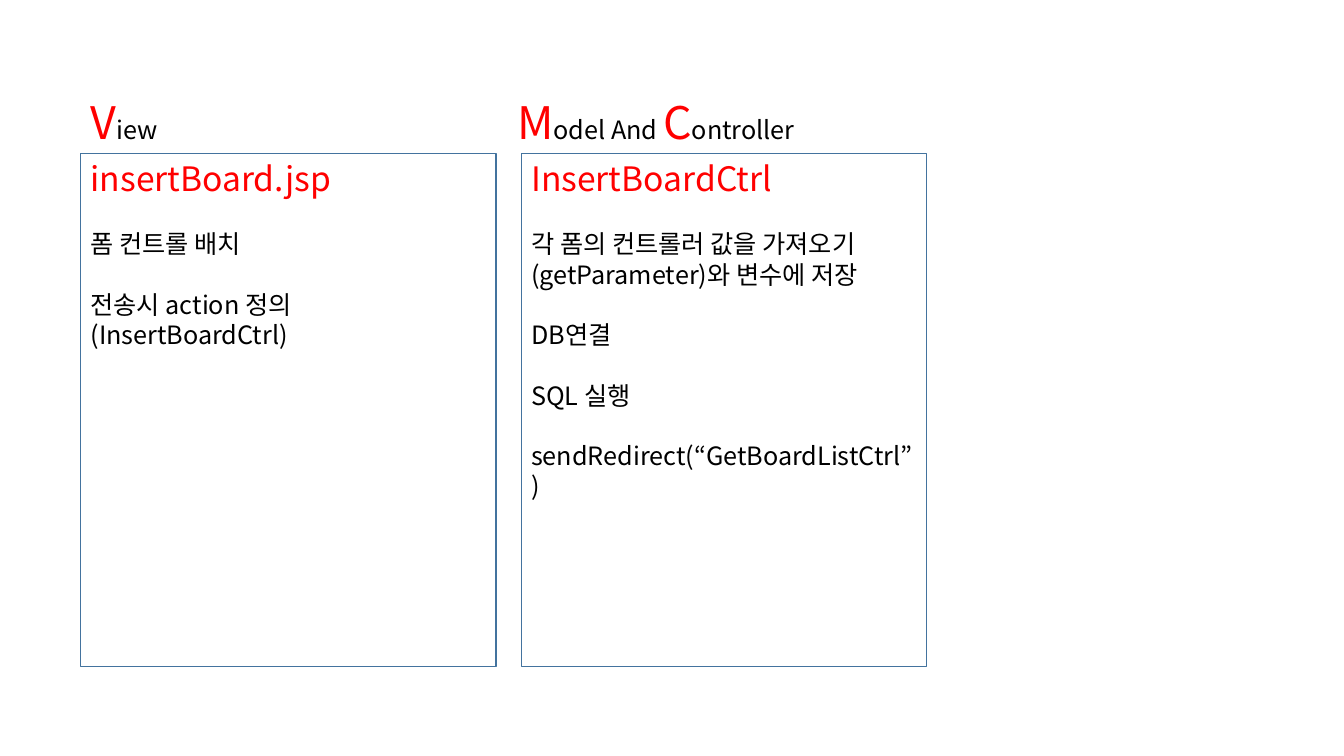
from pptx import Presentation
from pptx.enum.shapes import MSO_SHAPE
from pptx.enum.text import MSO_ANCHOR, MSO_AUTO_SIZE, PP_ALIGN
from pptx.dml.color import RGBColor
from pptx.oxml.ns import qn
from pptx.util import Inches, Pt
from lxml import etree

RECTANGLE = MSO_SHAPE.RECTANGLE
TOP = MSO_ANCHOR.TOP
LEFT = PP_ALIGN.LEFT
FIT_SHAPE = MSO_AUTO_SIZE.SHAPE_TO_FIT_TEXT

FONT = "Noto Sans CJK KR"
COLORS = {"accent": "FF0000", "body": "000000", "border": "43739E"}
INITIAL_SIZE, TITLE_SIZE, BODY_SIZE = 32, 24, 18
LINE_FACTOR = 1.2
HEADING_TOP, HEADING_HEIGHT = 0.89, 0.64
PANEL_TOP, PANEL_HEIGHT = 1.52, 5.09


def add_span(para, text, size, color):
    """Add one run with its size and colour, in the slide font."""
    span = para.add_run()
    span.text = text
    span.font.size = Pt(size)
    span.font.name = FONT
    span.font.color.rgb = RGBColor.from_string(COLORS[color])
    east_asian = etree.SubElement(span.font._element, qn("a:ea"))
    east_asian.set("typeface", FONT)


def format_para(para, size, gap_before=False):
    """Align a paragraph left, set its line height and an optional gap."""
    para.alignment = LEFT
    para.line_spacing = Pt(size * LINE_FACTOR)
    para.space_before = Pt(BODY_SIZE * LINE_FACTOR if gap_before else 0)


# Each body line: text, and whether a gap of one line precedes it
columns = [
    {
        "panel": (0.8, 4.12),
        "heading": (0.8, 0.87),
        "words": ["View"],
        "title": "insertBoard.jsp",
        "lines": [
            ("폼 컨트롤 배치", True),
            ("전송시 action 정의(InsertBoardCtrl)", True),
        ],
    },
    {
        "panel": (5.17, 4.02),
        "heading": (5.03, 3.01),
        "words": ["Model And ", "Controller"],
        "title": "InsertBoardCtrl",
        "lines": [
            ("각 폼의 컨트롤러 값을 가져오기", True),
            ("(getParameter)와 변수에 저장", False),
            ("DB연결", True),
            ("SQL 실행", True),
            ("sendRedirect(“GetBoardListCtrl”)", True),
        ],
    },
]

deck = Presentation()
deck.slide_width, deck.slide_height = Inches(13.33), Inches(7.5)
page = deck.slides.add_slide(deck.slide_layouts[6])

for column in columns:
    left, width = column["panel"]
    panel = page.shapes.add_shape(
        RECTANGLE, Inches(left), Inches(PANEL_TOP), Inches(width), Inches(PANEL_HEIGHT)
    )
    panel.shadow.inherit = False
    panel.fill.background()
    panel.line.color.rgb = RGBColor.from_string(COLORS["border"])
    panel.line.width = Pt(1)
    frame = panel.text_frame
    frame.word_wrap = True
    frame.vertical_anchor = TOP
    para = frame.paragraphs[0]
    format_para(para, TITLE_SIZE)
    add_span(para, column["title"], TITLE_SIZE, "accent")
    for text, gap_before in column["lines"]:
        para = frame.add_paragraph()
        format_para(para, BODY_SIZE, gap_before)
        add_span(para, text, BODY_SIZE, "body")

    left, width = column["heading"]
    heading = page.shapes.add_textbox(
        Inches(left), Inches(HEADING_TOP), Inches(width), Inches(HEADING_HEIGHT)
    )
    heading.text_frame.word_wrap = False
    heading.text_frame.auto_size = FIT_SHAPE
    para = heading.text_frame.paragraphs[0]
    format_para(para, INITIAL_SIZE)
    for word in column["words"]:
        add_span(para, word[0], INITIAL_SIZE, "accent")
        add_span(para, word[1:], BODY_SIZE, "body")

deck.save("out.pptx")
